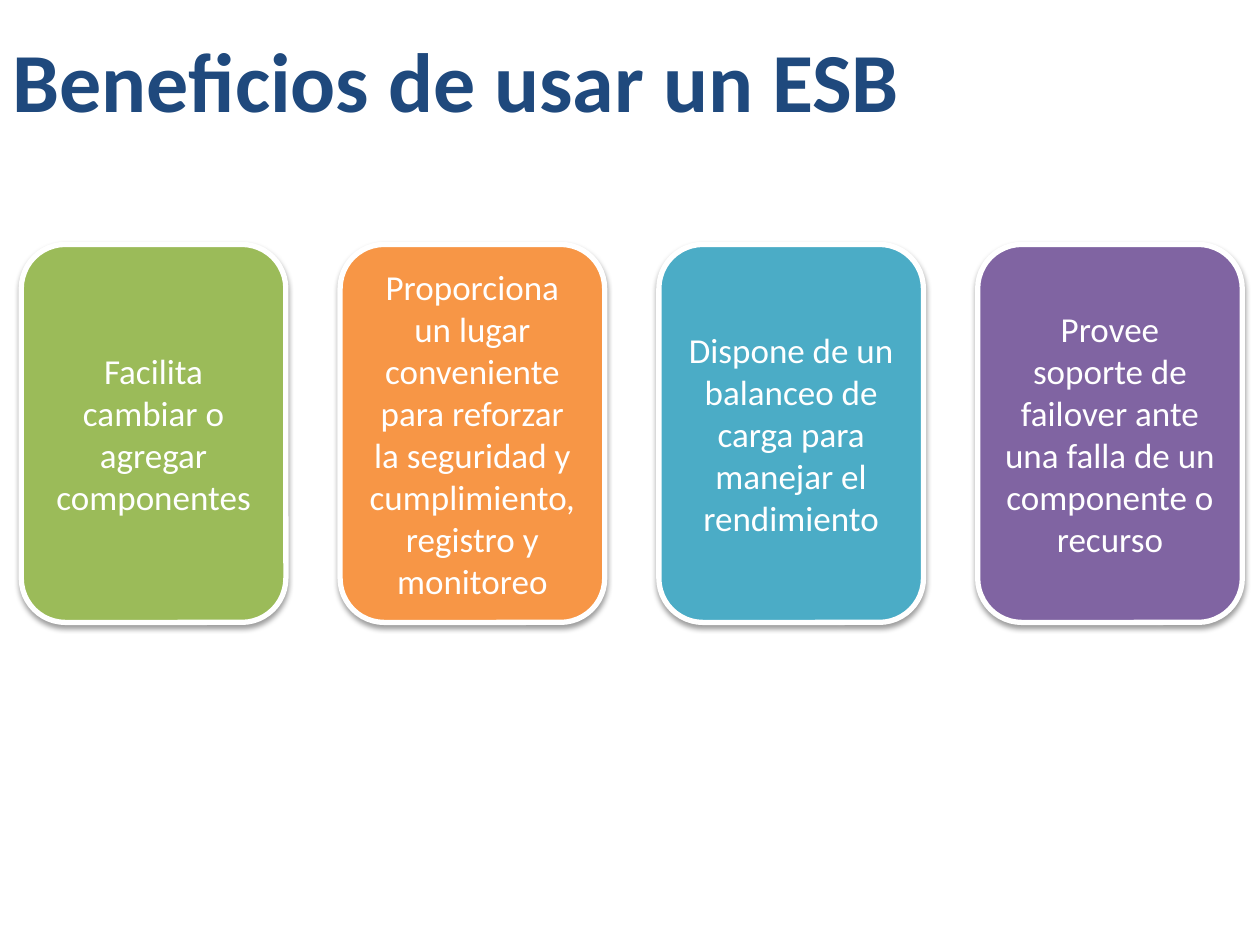
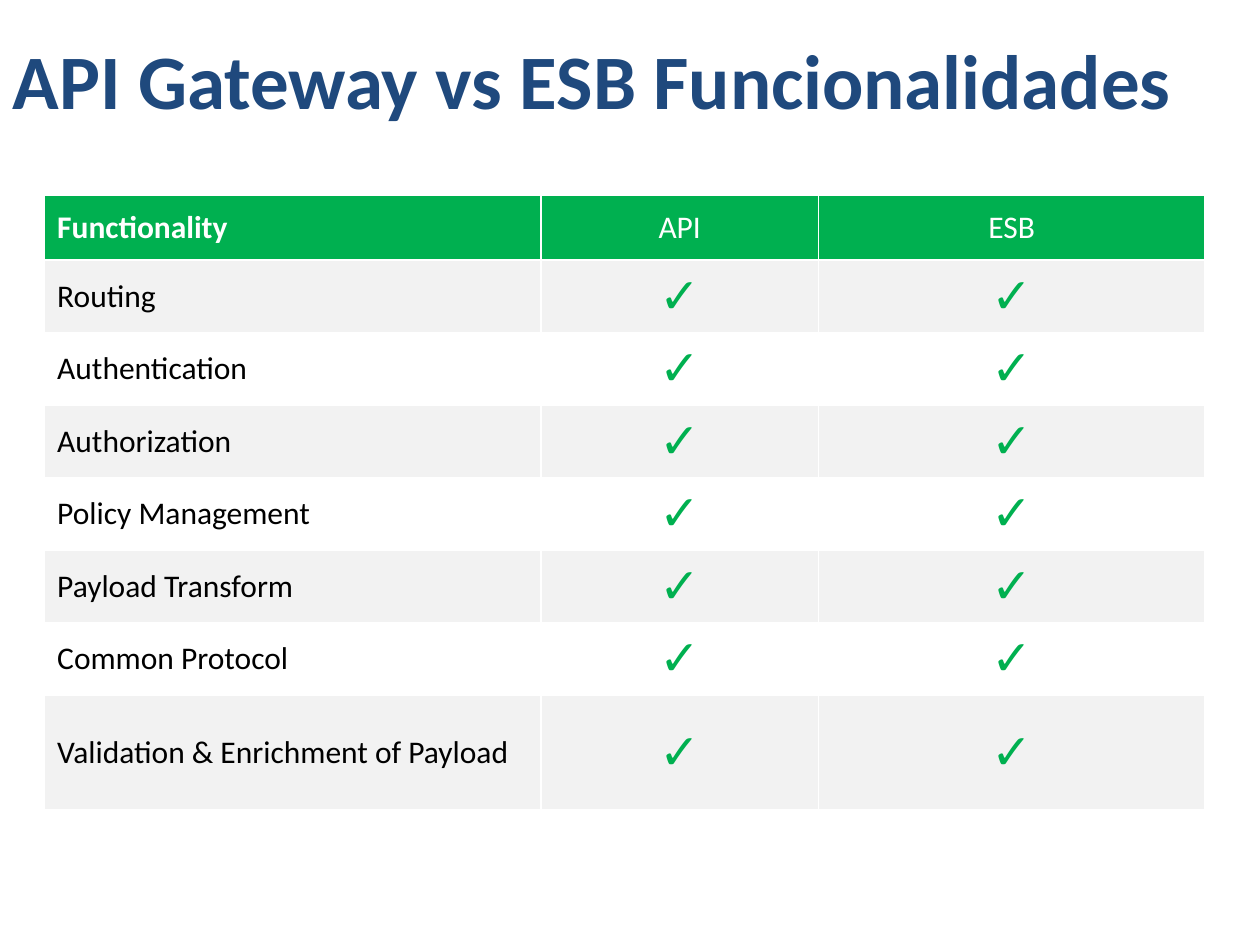
from lxml import etree
from pptx import Presentation
from pptx.dml.color import RGBColor
from pptx.enum.shapes import MSO_SHAPE
from pptx.enum.text import MSO_ANCHOR, PP_ALIGN
from pptx.oxml.ns import qn
from pptx.util import Pt

ROUNDED = MSO_SHAPE.ROUNDED_RECTANGLE
MIDDLE = MSO_ANCHOR.MIDDLE
LEFT, CENTER = PP_ALIGN.LEFT, PP_ALIGN.CENTER

FONT = "Calibri"
NAVY = RGBColor(0x1F, 0x49, 0x7D)
WHITE = RGBColor(0xFF, 0xFF, 0xFF)
BLACK = RGBColor(0x00, 0x00, 0x00)
OLIVE = RGBColor(0x9B, 0xBB, 0x59)
ORANGE = RGBColor(0xF7, 0x96, 0x46)
AQUA = RGBColor(0x4B, 0xAC, 0xC6)
PURPLE = RGBColor(0x80, 0x64, 0xA2)
GREEN = RGBColor(0x00, 0xB0, 0x50)
GREY = RGBColor(0xF2, 0xF2, 0xF2)

SLIDE_W, SLIDE_H = 720, 540
TITLE_H = 90
TITLE_ONLY = 5

BENEFITS = [
    ("Facilita cambiar o agregar componentes", OLIVE),
    ("Proporciona un lugar conveniente para reforzar la seguridad y "
     "cumplimiento, registro y monitoreo", ORANGE),
    ("Dispone de un balanceo de carga para manejar el rendimiento", AQUA),
    ("Provee soporte de failover ante una falla de un componente o recurso", PURPLE),
]
HEADINGS = ["Functionality", "API", "ESB"]
FEATURES = ["Routing", "Authentication", "Authorization", "Policy Management",
            "Payload Transform", "Common Protocol", "Validation & Enrichment of Payload"]
CHECK = "✓"


def style_text(paragraph, size, color, bold=False, align=LEFT):
    paragraph.alignment = align
    font = paragraph.font
    font.name, font.size, font.bold = FONT, Pt(size), bold
    font.color.rgb = color


def add_titled_slide(prs, title_text, title_size):
    slide = prs.slides.add_slide(prs.slide_layouts[TITLE_ONLY])
    title = slide.shapes.title
    title.left, title.top = Pt(0), Pt(0)
    title.width, title.height = Pt(SLIDE_W), Pt(TITLE_H)
    frame = title.text_frame
    frame.text = title_text
    frame.word_wrap = True
    frame.vertical_anchor = MIDDLE
    style_text(frame.paragraphs[0], title_size, NAVY, bold=True)
    return slide


def add_soft_shadow(shape):
    shape.shadow.inherit = False
    effects = shape._element.spPr.find(qn("a:effectLst"))
    shadow = etree.SubElement(effects, qn("a:outerShdw"), blurRad=str(Pt(3.1)),
                              dist=str(Pt(1.6)), dir="5400000", rotWithShape="0")
    black = etree.SubElement(shadow, qn("a:srgbClr"), val=str(BLACK))
    etree.SubElement(black, qn("a:alpha"), val="38000")


def add_benefit_cards(slide, left, top, width, height, card_w):
    pitch = (width - card_w) / (len(BENEFITS) - 1)
    for i, (benefit, color) in enumerate(BENEFITS):
        card = slide.shapes.add_shape(ROUNDED, Pt(left + i * pitch), Pt(top),
                                      Pt(card_w), Pt(height))
        card.fill.solid()
        card.fill.fore_color.rgb = color
        card.line.color.rgb = WHITE
        card.line.width = Pt(3)
        add_soft_shadow(card)
        frame = card.text_frame
        frame.text = benefit
        frame.word_wrap = True
        frame.vertical_anchor = MIDDLE
        frame.margin_left = frame.margin_right = Pt(7.5)
        style_text(frame.paragraphs[0], 20, WHITE, align=CENTER)


def fill_cell(cell, text, fill, size, color, bold, align):
    cell.fill.solid()
    cell.fill.fore_color.rgb = fill
    cell.vertical_anchor = MIDDLE
    cell.text = text
    style_text(cell.text_frame.paragraphs[0], size, color, bold, align)


def add_feature_table(slide, left, top, col_widths, row_h, last_row_h):
    row_heights = [row_h] * len(FEATURES) + [last_row_h]
    table = slide.shapes.add_table(len(row_heights), len(col_widths), Pt(left), Pt(top),
                                   Pt(sum(col_widths)), Pt(sum(row_heights))).table
    for column, width in zip(table.columns, col_widths):
        column.width = Pt(width)
    for row, height in zip(table.rows, row_heights):
        row.height = Pt(height)

    # Header row
    for c, heading in enumerate(HEADINGS):
        fill_cell(table.cell(0, c), heading, GREEN, 18, WHITE, c == 0,
                  CENTER if c else LEFT)

    # One banded row per feature, checked in both products
    for r, feature in enumerate(FEATURES, start=1):
        band = GREY if r % 2 else WHITE
        fill_cell(table.cell(r, 0), feature, band, 18, BLACK, False, LEFT)
        for c in range(1, len(HEADINGS)):
            fill_cell(table.cell(r, c), CHECK, band, 28, GREEN, True, CENTER)


def main():
    prs = Presentation()
    prs.slide_width, prs.slide_height = Pt(SLIDE_W), Pt(SLIDE_H)

    benefits = add_titled_slide(prs, "Beneficios de usar un ESB", 48)
    add_benefit_cards(benefits, 12.2, 139.7, 697.7, 216, card_w=151.2)

    comparison = add_titled_slide(prs, "API Gateway vs ESB Funcionalidades", 44)
    add_feature_table(comparison, 25.5, 111.5, [283.7, 158.4, 221], 37.2, 65.5)

    prs.save("out.pptx")


if __name__ == "__main__":
    main()
